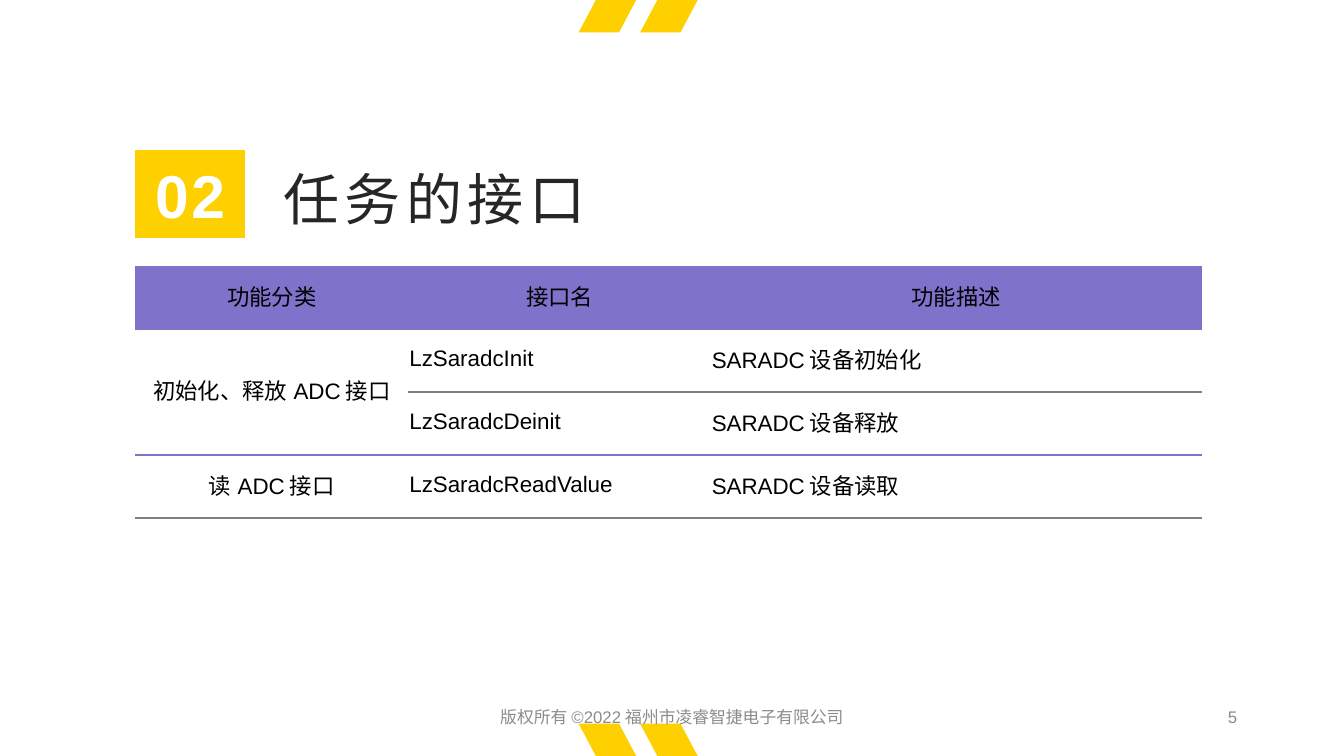
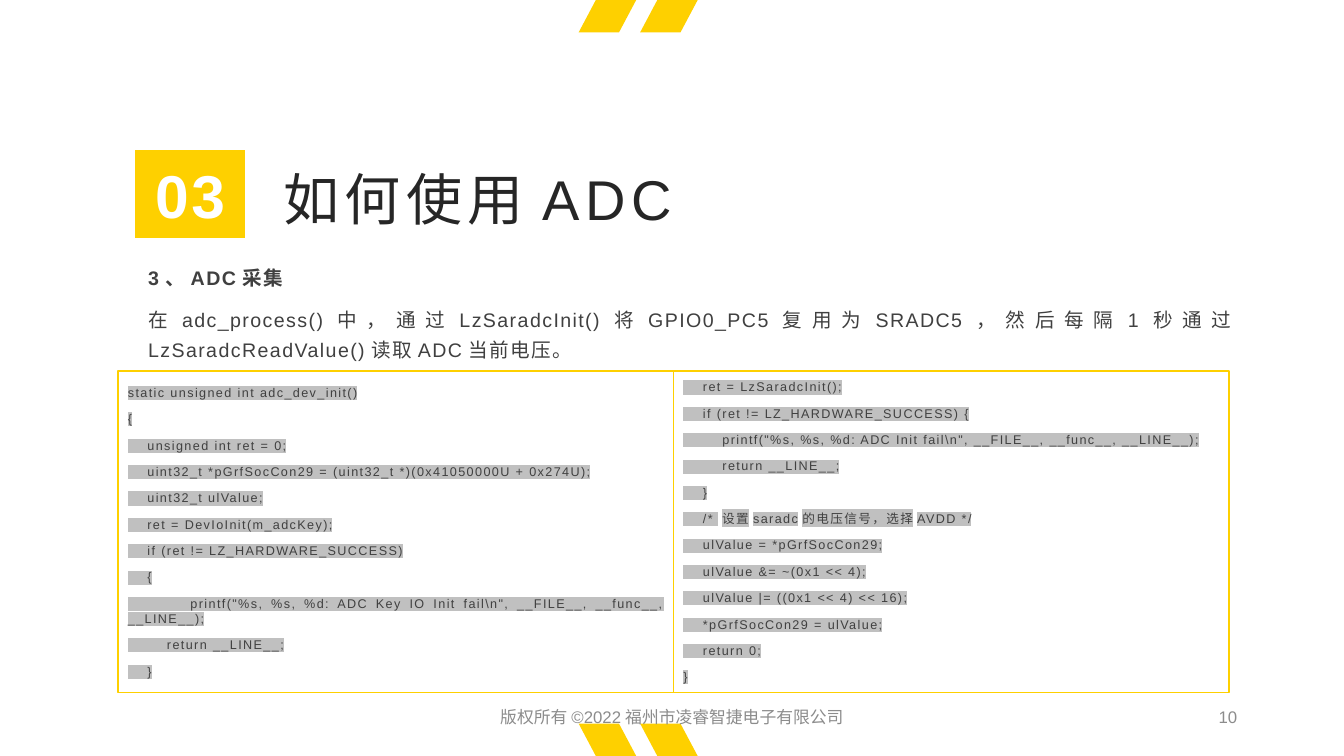
from lxml import etree
from pptx import Presentation
from pptx.dml.color import RGBColor
from pptx.enum import shapes, text
from pptx.oxml import ns
from pptx.util import Inches, Pt

# Shared style
COLORS = {
    "yellow": "FED000", "purple": "7E72CA", "white": "FFFFFF", "black": "000000",
    "title": "262626", "body": "404040", "footer": "8C8C8C", "rule": "808080",
    "highlight": "C0C0C0",
}
FONT = "Arial"
PLAIN_TABLE = "{2D5ABB26-0587-4C30-8999-92F81FD0307C}"
LEFT, CENTER, RIGHT, JUSTIFY = (text.PP_ALIGN.LEFT, text.PP_ALIGN.CENTER,
                                text.PP_ALIGN.RIGHT, text.PP_ALIGN.JUSTIFY)
MIDDLE, BOTTOM = text.MSO_ANCHOR.MIDDLE, text.MSO_ANCHOR.BOTTOM
WIDTH, HEIGHT = 13.33, 7.5

# Content
COPYRIGHT = "版权所有©2022福州市凌睿智捷电子有限公司"
API_SLIDE = {"number": "02", "title": "任务的接口", "page": "5"}
API_COLUMNS = [2.71, 3, 4.87]
API_ROWS = [
    ("功能分类", "接口名", "功能描述"),
    ("初始化、释放ADC接口", "LzSaradcInit", "SARADC设备初始化"),
    ("", "LzSaradcDeinit", "SARADC设备释放"),
    ("读ADC接口", "LzSaradcReadValue", "SARADC设备读取"),
]
API_RULES = ["purple", "rule", "purple", "rule"]

USAGE_SLIDE = {"number": "03", "title": "如何使用ADC", "page": "10"}
USAGE_HEADING = "3、ADC采集"
USAGE_TEXT = ("在adc_process()中，通过LzSaradcInit()将GPIO0_PC5复用为SRADC5，"
              "然后每隔1秒通过LzSaradcReadValue()读取ADC当前电压。")
CODE_PANELS = [
    [
        "static unsigned int adc_dev_init()",
        "{",
        "    unsigned int ret = 0;",
        "    uint32_t *pGrfSocCon29 = (uint32_t *)(0x41050000U + 0x274U);",
        "    uint32_t ulValue;",
        "    ret = DevIoInit(m_adcKey);",
        "    if (ret != LZ_HARDWARE_SUCCESS)",
        "    {",
        r'        printf("%s, %s, %d: ADC Key IO Init fail\n", __FILE__, __func__, __LINE__);',
        "        return __LINE__;",
        "    }",
    ],
    [
        "    ret = LzSaradcInit();",
        "    if (ret != LZ_HARDWARE_SUCCESS) {",
        r'        printf("%s, %s, %d: ADC Init fail\n", __FILE__, __func__, __LINE__);',
        "        return __LINE__;",
        "    }",
        "    /* 设置saradc的电压信号，选择AVDD */",
        "    ulValue = *pGrfSocCon29;",
        "    ulValue &= ~(0x1 << 4);",
        "    ulValue |= ((0x1 << 4) << 16);",
        "    *pGrfSocCon29 = ulValue;",
        "    return 0;",
        "}",
    ],
]


def rgb(name):
    return RGBColor.from_string(COLORS[name])


def add_color(parent, tag, name):
    element = etree.SubElement(parent, ns.qn(tag))
    etree.SubElement(element, ns.qn("a:srgbClr"), val=COLORS[name])
    return element


def write(frame, lines, size=12, color="body", bold=False, align=LEFT, anchor=MIDDLE,
          spacing=0, after=0, line=None, highlight=None, margins=None):
    """Fill a text frame; bold may be one flag or one flag per line."""
    lines = [lines] if isinstance(lines, str) else lines
    flags = bold if isinstance(bold, list) else [bold] * len(lines)
    frame.word_wrap = True
    frame.auto_size = text.MSO_AUTO_SIZE.NONE
    frame.vertical_anchor = anchor
    if margins is not None:
        (frame.margin_left, frame.margin_top,
         frame.margin_right, frame.margin_bottom) = map(Inches, margins)
    for index, (content, flag) in enumerate(zip(lines, flags)):
        paragraph = frame.paragraphs[0] if index == 0 else frame.add_paragraph()
        paragraph.alignment = align
        paragraph.space_before, paragraph.space_after = Pt(0), Pt(after)
        if line:
            paragraph.line_spacing = line
        run = paragraph.add_run()
        run.text = content
        font = run.font
        font.name, font.size, font.bold = FONT, Pt(size), flag
        font.color.rgb = rgb(color)
        props = run._r.get_or_add_rPr()
        if spacing:
            props.set("spc", str(spacing * 100))
        if highlight:
            mark = add_color(props, "a:highlight", highlight)
            props.find(ns.qn("a:solidFill")).addnext(mark)


def add_text(slide, box, content, **style):
    textbox = slide.shapes.add_textbox(*map(Inches, box))
    write(textbox.text_frame, content, **style)
    return textbox


def paint(shape, fill, line=None):
    shape.shadow.inherit = False
    shape.fill.solid()
    shape.fill.fore_color.rgb = rgb(fill)
    if line:
        shape.line.color.rgb = rgb(line)
        shape.line.width = Pt(1)
    else:
        shape.line.fill.background()


def add_panel(slide, box, fill, line=None):
    panel = slide.shapes.add_shape(shapes.MSO_SHAPE.RECTANGLE, *map(Inches, box))
    paint(panel, fill, line)
    return panel


def share_decoration(slide):
    """Draw slanted bands and the copyright line, then move them to the layout."""
    shared = []
    for edge, inner in ((0, 0.32), (HEIGHT, HEIGHT - 0.32)):
        for left in (5.74, 6.35):
            points = [(left + 0.17, edge), (left + 0.57, edge),
                      (left + 0.4, inner), (left, inner)]
            corners = [(Inches(x), Inches(y)) for x, y in points]
            builder = slide.shapes.build_freeform(*corners[0])
            builder.add_line_segments(corners[1:], close=True)
            band = builder.convert_to_shape()
            paint(band, "yellow")
            shared.append(band)
    shared.append(add_text(slide, (4.5, 6.94, 4.33, 0.35), COPYRIGHT,
                           color="footer", align=CENTER))
    for part in shared:
        slide.slide_layout.shapes._spTree.append(part._element)


def add_section(deck, layout, content):
    slide = deck.slides.add_slide(layout)
    tile = add_panel(slide, (1.34, 1.49, 1.09, 0.87), "yellow")
    write(tile.text_frame, content["number"], size=43.2, color="white", bold=True,
          align=CENTER, spacing=2)
    write(slide.shapes.title.text_frame, content["title"], size=40, color="title",
          anchor=BOTTOM, spacing=4, margins=(0, 0, 0, 0))
    add_text(slide, (9.42, 6.94, 2.95, 0.35), content["page"],
             color="footer", align=RIGHT)
    return slide


def add_rule(cell, color):
    props = cell._tc.get_or_add_tcPr()
    border = etree.Element(ns.qn("a:lnB"), w=str(Pt(1)))
    add_color(border, "a:solidFill", color)
    props.insert(0, border)


def add_api_table(slide):
    frame = slide.shapes.add_table(len(API_ROWS), len(API_COLUMNS), Inches(1.34),
                                   Inches(2.64), Inches(sum(API_COLUMNS)), Inches(2.5))
    table = frame.table
    table._tbl.tblPr.find(ns.qn("a:tableStyleId")).text = PLAIN_TABLE
    for column, width in zip(table.columns, API_COLUMNS):
        column.width = Inches(width)
    table.cell(1, 0).merge(table.cell(2, 0))
    for r, (row, rule) in enumerate(zip(API_ROWS, API_RULES)):
        for c, label in enumerate(row):
            cell = table.cell(r, c)
            cell.fill.solid()
            cell.fill.fore_color.rgb = rgb("white" if r else "purple")
            add_rule(cell, "purple" if cell.is_merge_origin else rule)
            cell.vertical_anchor = MIDDLE
            cell.margin_left = cell.margin_top = cell.margin_right = Inches(0.01)
            cell.margin_bottom = Inches(0.05)
            if label:
                write_cell(cell, label, CENTER if r == 0 or c == 0 else LEFT)


def write_cell(cell, label, align):
    paragraph = cell.text_frame.paragraphs[0]
    paragraph.alignment = align
    run = paragraph.add_run()
    run.text = label
    run.font.name, run.font.size = FONT, Pt(16)
    run.font.color.rgb = rgb("black")


def main():
    deck = Presentation()
    deck.slide_width, deck.slide_height = Inches(WIDTH), Inches(HEIGHT)
    layout = deck.slide_layouts.get_by_name("Title Only")
    heading = layout.placeholders[0]
    heading.left, heading.top, heading.width, heading.height = map(
        Inches, (2.81, 1.57, 5.14, 0.73))

    # Interfaces
    api = add_section(deck, layout, API_SLIDE)
    share_decoration(api)
    add_api_table(api)

    # Usage and code
    usage = add_section(deck, layout, USAGE_SLIDE)
    add_text(usage, (1.37, 2.5, 11, 1.16), [USAGE_HEADING, USAGE_TEXT], size=14,
             bold=[True, False], align=JUSTIFY, spacing=1, after=8, line=1.3)
    panel_width = 5.51
    for index, code in enumerate(CODE_PANELS):
        box = (1.17 + index * panel_width, 3.68, panel_width, 3.19)
        panel = add_panel(usage, box, "white", "yellow")
        write(panel.text_frame, code, size=9, align=JUSTIFY, spacing=1, after=8,
              highlight="highlight")

    deck.save("out.pptx")


if __name__ == "__main__":
    main()
